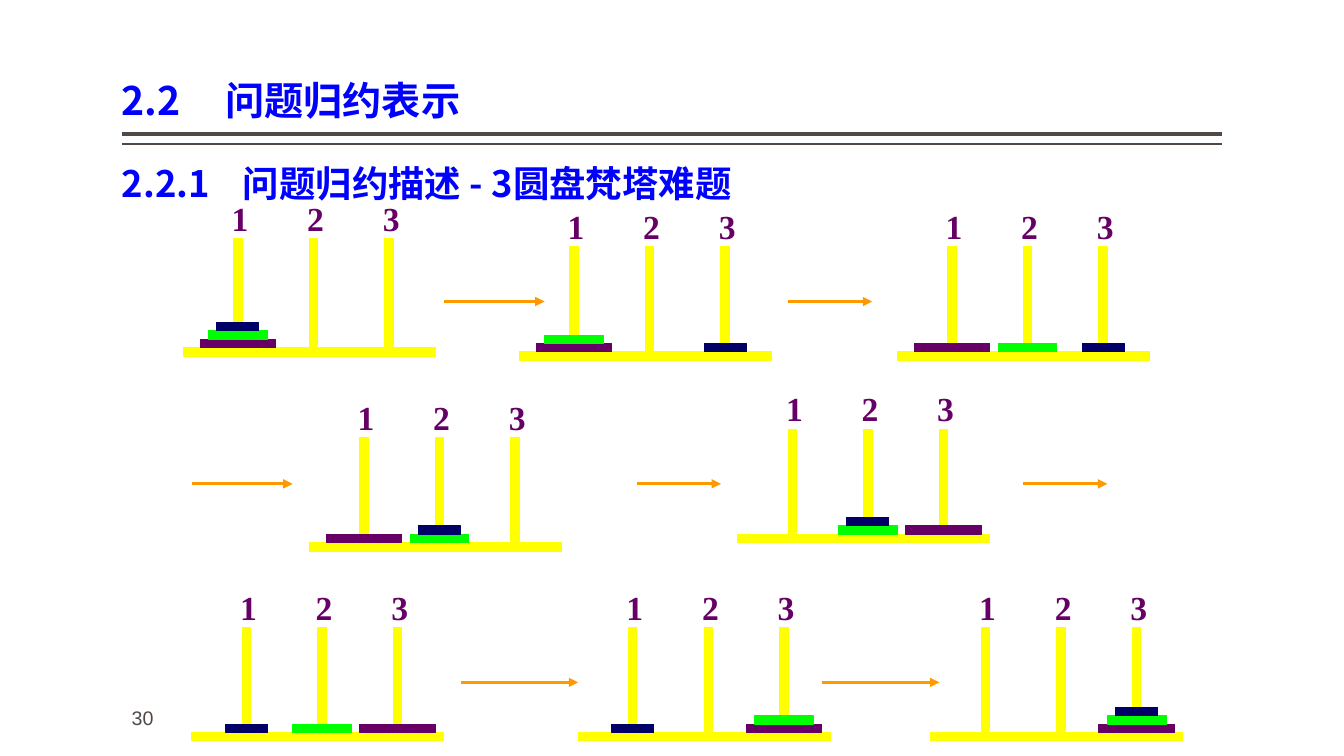
from lxml.etree import SubElement
from pptx import Presentation
from pptx.dml.color import RGBColor
from pptx.enum.shapes import MSO_CONNECTOR, MSO_SHAPE
from pptx.enum.text import MSO_ANCHOR, MSO_AUTO_SIZE, PP_ALIGN
from pptx.oxml.ns import qn
from pptx.util import Pt

COLORS = {"blue": "0000FF", "gray": "514843", "yellow": "FFFF00",
          "purple": "660066", "green": "00FF00", "navy": "000066",
          "orange": "FF9900"}
CJK, SERIF, SANS = "Noto Sans CJK SC", "Times New Roman", "Arial"

FORMATS = {
    "title": {"size": Pt(28), "bold": True, "name": CJK, "color": "blue"},
    "heading": {"size": Pt(26), "bold": True, "name": CJK, "color": "blue"},
    "label": {"size": Pt(24), "bold": True, "name": SERIF, "color": "purple"},
    "number": {"size": Pt(14), "bold": False, "name": SANS, "color": "gray"},
}

DISKS = [("purple", 54), ("green", 42), ("navy", 30)]
PEG_WIDTH, PEG_GAP, BAR = 6, 54, 6

TOWERS = [
    (131, 248.4, 78, (1, 1, 1)),
    (371, 251.4, 75, (1, 1, 3)),
    (641, 251.4, 75, (1, 2, 3)),
    (221, 387.6, 75, (1, 2, 2)),
    (527, 381.6, 75, (3, 2, 2)),
    (137, 523.2, 75, (3, 2, 1)),
    (413, 523.2, 75, (3, 3, 1)),
    (665, 523.2, 75, (3, 3, 3)),
]
ARROWS = [(317, 215.4, 72), (563, 215.4, 60),
          (137, 345.6, 72), (455, 345.6, 60), (731, 345.6, 60),
          (329, 487.4, 84), (587, 487.4, 84)]


class Slide:
    def __init__(self, prs):
        self.s = prs.slides.add_slide(prs.slide_layouts[5])
        self.shapes = self.s.shapes

    def color(self, name):
        return RGBColor.from_string(COLORS[name])

    def fill_text(self, sp, text, style, tabs=(), insets=(7.2, 3.6, 7.2, 3.6),
                  anchor=MSO_ANCHOR.TOP, spacing=1.0):
        tf = sp.text_frame
        frame = {"word_wrap": True, "auto_size": MSO_AUTO_SIZE.NONE,
                 "vertical_anchor": anchor}
        sides = ("margin_left", "margin_top", "margin_right", "margin_bottom")
        frame.update(zip(sides, map(Pt, insets)))
        for key, value in frame.items():
            setattr(tf, key, value)
        p = tf.paragraphs[0]
        p.alignment = PP_ALIGN.LEFT
        if tabs:
            tab_list = SubElement(p._p.get_or_add_pPr(), qn("a:tabLst"))
            for stop in tabs:
                SubElement(tab_list, qn("a:tab"), pos=str(Pt(stop)), algn="l")
        p.line_spacing = spacing
        r = p.add_run()
        r.text = text
        for key, value in FORMATS[style].items():
            if key == "color":
                r.font.color.rgb = self.color(value)
            else:
                setattr(r.font, key, value)
        SubElement(r._r.get_or_add_rPr(), qn("a:ea"),
                   typeface=FORMATS[style]["name"])

    def title(self, text, box, **options):
        sp = self.s.shapes.title
        for key, value in zip(("left", "top", "width", "height"), box):
            setattr(sp, key, Pt(value))
        self.fill_text(sp, text, "title", **options)

    def text(self, text, box, style, **options):
        sp = self.shapes.add_textbox(*map(Pt, box))
        self.fill_text(sp, text, style, **options)

    def bar(self, x, y, w, h, color):
        sp = self.shapes.add_shape(MSO_SHAPE.RECTANGLE, *map(Pt, (x, y, w, h)))
        sp.shadow.inherit = False
        sp.fill.solid()
        sp.fill.fore_color.rgb = self.color(color)
        sp.line.color.rgb = self.color(color)
        sp.line.width = Pt(0.75)

    def line(self, x, y, length, color, width, arrow=False):
        ends = map(Pt, (x, y, x + length, y))
        cxn = self.shapes.add_connector(MSO_CONNECTOR.STRAIGHT, *ends)
        cxn.line.color.rgb = self.color(color)
        cxn.line.width = Pt(width)
        if arrow:
            SubElement(cxn.line._get_or_add_ln(), qn("a:tailEnd"),
                       type="triangle")
        SubElement(cxn._element.spPr, qn("a:effectLst"))

    def tower(self, x, y, rise, pegs):
        self.shapes = self.s.shapes.add_group_shape().shapes
        self.bar(x, y, 180, BAR, "yellow")
        for i in range(3):
            self.bar(x + 36 + i * PEG_GAP, y - rise, PEG_WIDTH, 78, "yellow")
        for i, (peg, (color, w)) in enumerate(zip(pegs, DISKS)):
            level = pegs[:i + 1].count(peg)
            center = x + 39 + (peg - 1) * PEG_GAP
            self.bar(center - w / 2, y - level * BAR, w, BAR, color)
        self.text("1\t2\t3", (x + 27.4, y - rise - 32.8, 134.6, 36), "label",
                  tabs=(PEG_GAP, 2 * PEG_GAP), insets=(7.2, 3.6, 0, 3.6))
        self.shapes = self.s.shapes


def main():
    prs = Presentation()
    prs.slide_width, prs.slide_height = Pt(960), Pt(540)
    slide = Slide(prs)
    slide.line(87, 95.8, 786, "gray", 3)
    slide.line(87, 103, 786, "gray", 1)
    slide.title("2.2\t问题归约表示", (87, 5.8, 786, 86.4), tabs=(74,),
                insets=(0, 3.6, 0, 3.6), anchor=MSO_ANCHOR.BOTTOM, spacing=0.9)
    slide.text("2.2.1\t问题归约描述 - 3圆盘梵塔难题", (87, 95.8, 786, 58.3),
               "heading", tabs=(86.5,), insets=(0, 3.6, 0, 3.6), spacing=1.5)
    slide.text("30", (87, 500.4, 144, 28.8), "number")
    for tower in TOWERS:
        slide.tower(*tower)
    for x, y, length in ARROWS:
        slide.line(x, y, length, "orange", 2.25, arrow=True)
    prs.save("out.pptx")


if __name__ == "__main__":
    main()
